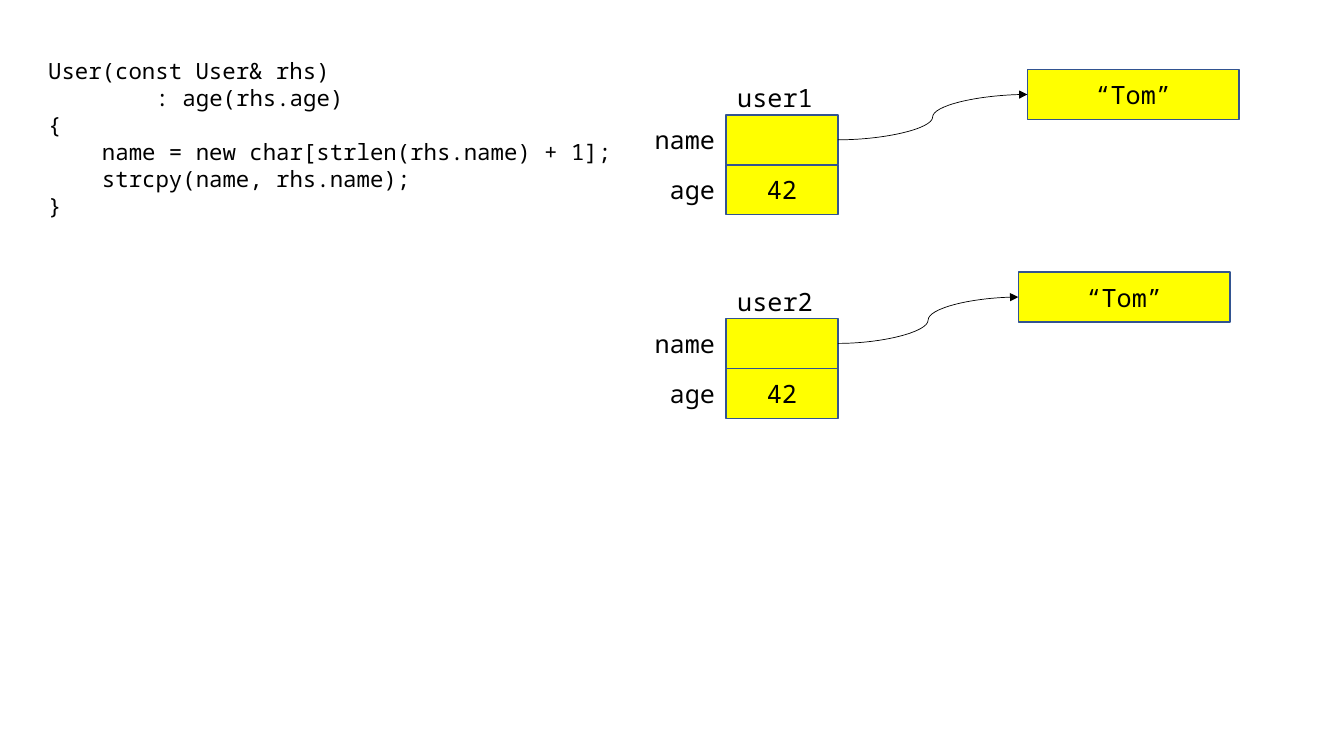
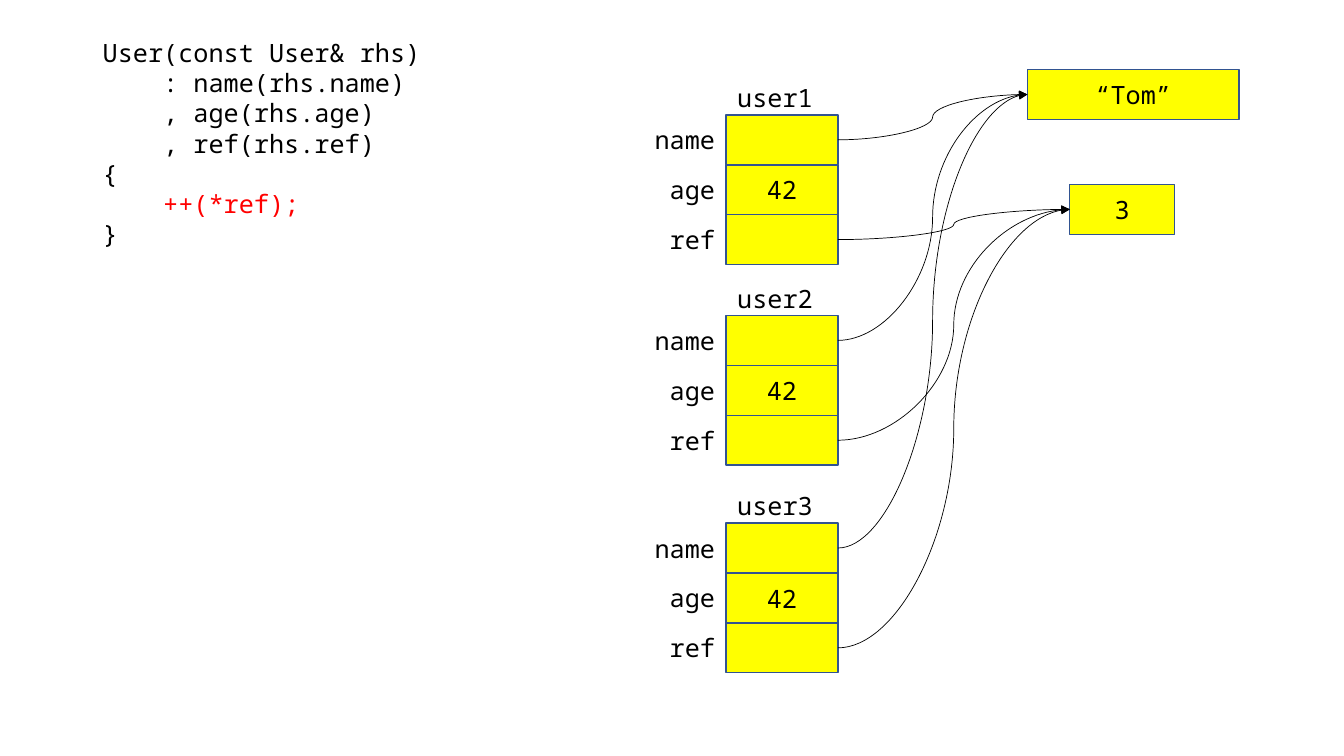
from lxml.etree import SubElement
from pptx import Presentation
from pptx.dml.color import RGBColor
from pptx.enum.shapes import MSO_CONNECTOR as Link, MSO_SHAPE as Preset
from pptx.enum.text import MSO_ANCHOR as Anchor, MSO_AUTO_SIZE as AutoSize, PP_ALIGN as Align
from pptx.oxml.ns import qn
from pptx.util import Inches, Pt

BLACK = RGBColor(0x00, 0x00, 0x00)
RED = RGBColor(0xFF, 0x00, 0x00)
YELLOW = RGBColor(0xFF, 0xFF, 0x00)
BORDER = RGBColor(0x32, 0x54, 0x91)
FONT = "Noto Sans Mono"
TEXT_SIZE = 18
BLANK_LAYOUT = 6

ROW = 0.495           # height of one memory cell, in inches
CELL_LEFT = 7.2
CELL_WIDTH = 1.11
LABEL_HEIGHT = 0.4
LEFT_SIDE, RIGHT_SIDE = 1, 3    # connection sites of a rectangle


def format_para(para, align, color=BLACK, size=TEXT_SIZE):
    """Give a paragraph the shared font, with its alignment, colour and size."""
    para.alignment = align
    for span in para.runs:
        span.font.name = FONT
        span.font.size = Pt(size)
        span.font.color.rgb = color


def add_cell(page, left, top, width, text=""):
    """Draw one yellow memory cell and return it."""
    cell = page.shapes.add_shape(
        Preset.RECTANGLE, *map(Inches, (left, top, width, ROW)))
    cell.shadow.inherit = False
    cell.fill.solid()
    cell.fill.fore_color.rgb = YELLOW
    cell.line.color.rgb = BORDER
    cell.line.width = Pt(1)
    if text:
        frame = cell.text_frame
        frame.text = text
        frame.vertical_anchor = Anchor.MIDDLE
        format_para(frame.paragraphs[0], Align.CENTER)
    return cell


def add_text_box(page, left, top, width, height):
    """Add a wrapping text box that grows with its text; return its frame."""
    box = page.shapes.add_textbox(*map(Inches, (left, top, width, height)))
    frame = box.text_frame
    frame.word_wrap = True
    frame.auto_size = AutoSize.SHAPE_TO_FIT_TEXT
    return frame


def add_label(page, right, top, text):
    """Write a right-aligned label that ends at the given right edge."""
    width = 1.25
    frame = add_text_box(page, right - width, top, width, LABEL_HEIGHT)
    frame.text = text
    format_para(frame.paragraphs[0], Align.RIGHT)


def add_pointer(page, source, target):
    """Draw a curved arrow from the right of one cell to the left of another."""
    pointer = page.shapes.add_connector(Link.CURVE, 0, 0, 0, 0)
    pointer.begin_connect(source, RIGHT_SIDE)
    pointer.end_connect(target, LEFT_SIDE)
    pointer.line.color.rgb = BLACK
    pointer.line.width = Pt(0.5)
    SubElement(pointer.line._get_or_add_ln(), qn("a:tailEnd"), type="triangle")
    SubElement(pointer._element.spPr, qn("a:effectLst"))


def add_user(page, top, title, fields):
    """Stack the cells of a user; each field is (name, value or target cell)."""
    add_label(page, CELL_LEFT + 0.96, top - 0.37, title)
    for index, (name, content) in enumerate(fields):
        row_top = top + index * ROW
        add_label(page, CELL_LEFT - 0.01, row_top + (ROW - LABEL_HEIGHT) / 2, name)
        if isinstance(content, str):
            add_cell(page, CELL_LEFT, row_top, CELL_WIDTH, content)
        else:
            cell = add_cell(page, CELL_LEFT, row_top, CELL_WIDTH)
            add_pointer(page, cell, content)


def add_code(page, left, top, height, lines, size=TEXT_SIZE):
    """Write code lines given as (indent level, text, colour)."""
    frame = add_text_box(page, left, top, 6.67, height)
    frame.text = "\n".join(text for _, text, _ in lines)
    indent = Pt(4 * 0.6 * size)    # four monospaced characters
    for para, (level, _, color) in zip(frame.paragraphs, lines):
        format_para(para, Align.LEFT, color, size)
        properties = para._p.get_or_add_pPr()
        properties.set("marL", str(level * indent))
        properties.set("indent", "0")


def build_deep_copy(page):
    """Show a copy constructor where each user owns its own name."""
    for title, top, name_left, name_top in (
            ("user1", 1.14, 10.19, 0.69), ("user2", 3.16, 10.1, 2.7)):
        name = add_cell(page, name_left, name_top, 2.1, "“Tom”")
        add_user(page, top, title, [("name", name), ("age", "42")])
    add_code(page, 0.38, 0.52, 1.72, [
        (0, "User(const User& rhs)", BLACK),
        (2, ": age(rhs.age)", BLACK),
        (0, "{", BLACK),
        (1, "name = new char[strlen(rhs.name) + 1];", BLACK),
        (1, "strcpy(name, rhs.name);", BLACK),
        (0, "}", BLACK),
    ], size=16)


def build_shared_name(page):
    """Show a copy constructor where users share a name and a counter."""
    name = add_cell(page, 10.19, 0.69, 2.1, "“Tom”")
    counter = add_cell(page, 10.61, 1.83, 1.04, "3")
    for title, top in (("user1", 1.14), ("user2", 3.13), ("user3", 5.19)):
        add_user(page, top, title,
                 [("name", name), ("age", "42"), ("ref", counter)])
    add_code(page, 0.32, 0.32, 2.22, [
        (1, "User(const User& rhs)", BLACK),
        (2, ": name(rhs.name)", BLACK),
        (2, ", age(rhs.age)", BLACK),
        (2, ", ref(rhs.ref)", BLACK),
        (1, "{", BLACK),
        (2, "++(*ref);", RED),
        (1, "}", BLACK),
    ])


deck = Presentation()
deck.slide_width, deck.slide_height = Inches(13.33), Inches(7.5)
for build in (build_deep_copy, build_shared_name):
    build(deck.slides.add_slide(deck.slide_layouts[BLANK_LAYOUT]))
deck.save("out.pptx")
